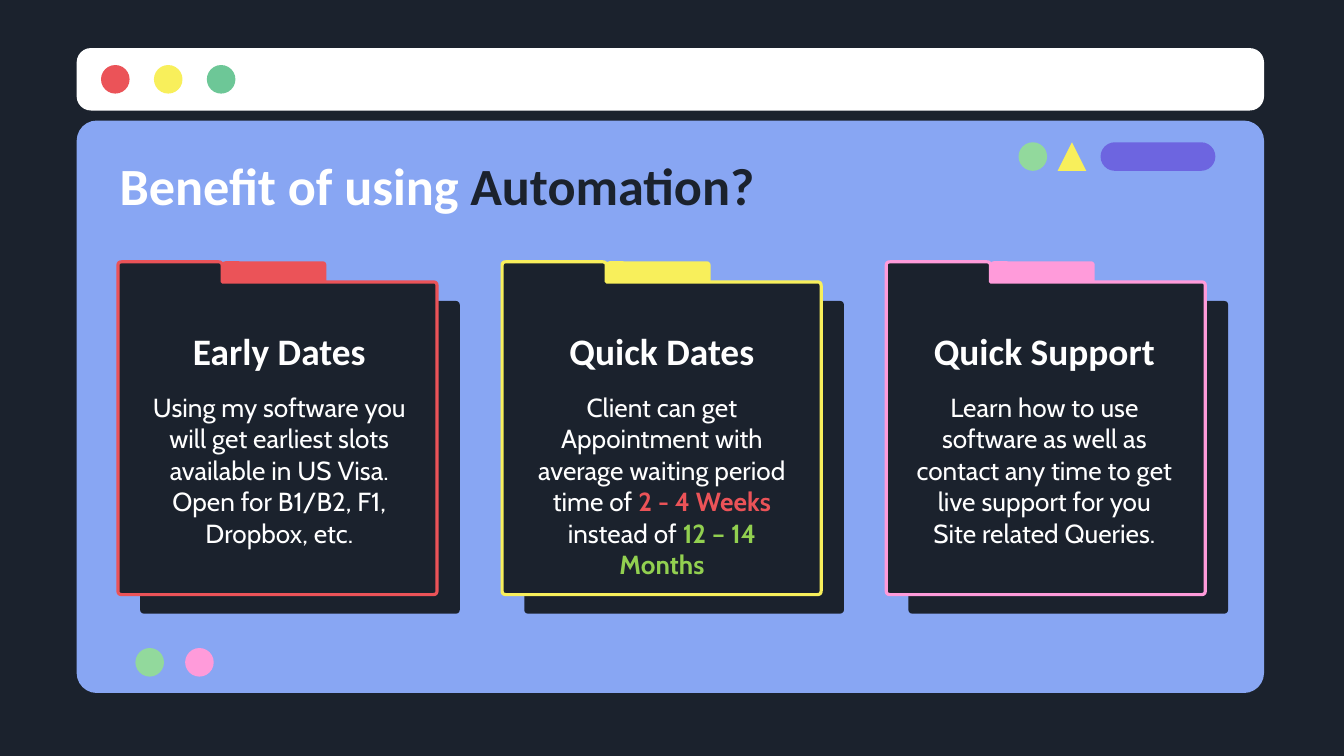
from pptx import Presentation
from pptx.dml.color import RGBColor
from pptx.enum import shapes, text
from pptx.util import Cm, Pt

NAVY = RGBColor(0x1B, 0x22, 0x2D)
BLUE = RGBColor(0x88, 0xA6, 0xF3)
WHITE = RGBColor(0xFF, 0xFF, 0xFF)
RED = RGBColor(0xEB, 0x53, 0x58)
YELLOW = RGBColor(0xF8, 0xEF, 0x5B)
GREEN = RGBColor(0x6D, 0xC7, 0x97)
MINT = RGBColor(0x92, 0xD9, 0x9C)
LIME = RGBColor(0x92, 0xD0, 0x50)
PINK = RGBColor(0xFF, 0x9B, 0xDA)
PURPLE = RGBColor(0x6D, 0x65, 0xE0)

KIND = shapes.MSO_SHAPE
DOT = 0.54
CORNER = 0.07
FOLDER_LEFT, FOLDER_PITCH = 2.23, 7.26
TEXT_CENTRE, TEXT_PITCH = 5.28, 7.23

# Accent, heading, heading width, spans of the description (text, colour, bold)
CARDS = [
    (RED, "Early Dates", 5.44, [
        ("Using my software you will get earliest slots available in US Visa. "
         "Open for B1/B2, F1, Dropbox, etc.", WHITE, False)]),
    (YELLOW, "Quick Dates", 5.44, [
        ("Client can get Appointment with average waiting period time of ",
         WHITE, False),
        ("2 - 4 Weeks ", RED, True),
        ("instead of ", WHITE, False),
        ("12 – 14 Months", LIME, True)]),
    (PINK, "Quick Support", 5.97, [
        ("Learn how to use software as well as contact any time to get live "
         "support for you Site related Queries.", WHITE, False)]),
]


def add_block(slide, kind, left, top, width, height, color, radius=None):
    """Add a plain filled shape; radius is its corner radius in cm."""
    block = slide.shapes.add_shape(kind, Cm(left), Cm(top), Cm(width), Cm(height))
    block.shadow.inherit = False
    block.fill.solid()
    block.fill.fore_color.rgb = color
    block.line.fill.background()
    if radius is not None:
        block.adjustments[0] = radius / min(width, height)
    return block


def add_dot(slide, left, top, color):
    add_block(slide, KIND.OVAL, left, top, DOT, DOT, color)


def round_corners(corners, steps=4):
    """Replace each corner (x, y, radius) of a right-angled outline with a curve."""
    points = []
    for i, (x, y, radius) in enumerate(corners):
        if not radius:
            points.append((x, y))
            continue
        ends = []
        for nx, ny, _ in (corners[i - 1], corners[(i + 1) % len(corners)]):
            length = abs(nx - x) + abs(ny - y)
            ends.append((x + (nx - x) * radius / length,
                         y + (ny - y) * radius / length))
        (ax, ay), (bx, by) = ends
        for step in range(steps + 1):
            t = step / steps
            points.append(((1 - t) ** 2 * ax + 2 * t * (1 - t) * x + t * t * bx,
                           (1 - t) ** 2 * ay + 2 * t * (1 - t) * y + t * t * by))
    return points


def add_folder(slide, left, accent):
    """Add the back sheet, the coloured tab and the outlined front."""
    add_block(slide, KIND.ROUNDED_RECTANGLE, left + 0.42, 5.69, 6.04, 5.91, NAVY, CORNER)
    add_block(slide, KIND.ROUNDED_RECTANGLE, left + 1.96, 4.94, 1.98, 0.75, accent, CORNER)

    top, notch, right, bottom = 4.95, 5.33, left + 6.03, 11.24
    corners = [(left, top, CORNER), (left + 1.97, top, CORNER),
               (left + 1.97, notch, 0), (right, notch, CORNER),
               (right, bottom, CORNER), (left, bottom, CORNER)]
    points = [(Cm(x), Cm(y)) for x, y in round_corners(corners)]
    builder = slide.shapes.build_freeform(*points[0])
    builder.add_line_segments(points[1:], close=True)
    front = builder.convert_to_shape()
    front.shadow.inherit = False
    front.fill.solid()
    front.fill.fore_color.rgb = NAVY
    front.line.color.rgb = accent
    front.line.width = Pt(1.7)


def write(box, spans, font, size, align, anchor):
    """Fill a text shape with one paragraph of coloured spans."""
    frame = box.text_frame
    frame.word_wrap = True
    frame.auto_size = text.MSO_AUTO_SIZE.NONE
    frame.vertical_anchor = anchor
    frame.margin_left = frame.margin_right = Cm(0.25)
    frame.margin_top = frame.margin_bottom = Cm(0.25)
    para = frame.paragraphs[0]
    para.alignment = align
    for words, color, bold in spans:
        span = para.add_run()
        span.text = words
        span.font.name = font
        span.font.size = Pt(size)
        span.font.bold = bold
        span.font.color.rgb = color


def add_label(slide, centre, top, width, height, spans, font, size, anchor):
    box = slide.shapes.add_textbox(Cm(centre - width / 2), Cm(top), Cm(width), Cm(height))
    write(box, spans, font, size, text.PP_ALIGN.CENTER, anchor)


def add_window(slide):
    # Window body and title bar
    add_block(slide, KIND.ROUNDED_RECTANGLE, 1.45, 2.28, 22.44, 10.82, BLUE, 0.38)
    add_block(slide, KIND.ROUNDED_RECTANGLE, 1.45, 0.91, 22.44, 1.18, WHITE, 0.27)
    for i, color in enumerate((RED, YELLOW, GREEN)):
        add_dot(slide, 1.91 + i, 1.23, color)

    # Ornaments at the top right and bottom left
    add_dot(slide, 19.25, 2.69, MINT)
    add_block(slide, KIND.ISOSCELES_TRIANGLE, 19.99, 2.69, DOT, DOT, YELLOW)
    add_block(slide, KIND.ROUNDED_RECTANGLE, 20.8, 2.69, 2.17, DOT, PURPLE, DOT / 2)
    add_dot(slide, 2.56, 12.25, MINT)
    add_dot(slide, 3.5, 12.25, PINK)


def add_title(slide):
    title = slide.shapes.title
    title.left, title.top = Cm(2.01), Cm(2.7)
    title.width, title.height = Cm(21.41), Cm(1.58)
    write(title, [("Benefit of using ", WHITE, True), ("Automation?", NAVY, True)],
          "Calibri", 28, text.PP_ALIGN.LEFT, text.MSO_ANCHOR.MIDDLE)
    # Bring the placeholder in front of the window
    title.element.getparent().append(title.element)


def main():
    deck = Presentation()
    deck.slide_width, deck.slide_height = Cm(25.4), Cm(14.29)
    slide = deck.slides.add_slide(deck.slide_layouts[5])
    slide.background.fill.solid()
    slide.background.fill.fore_color.rgb = NAVY

    add_window(slide)
    add_title(slide)

    # Three folder cards
    for i, (accent, heading, width, spans) in enumerate(CARDS):
        add_folder(slide, FOLDER_LEFT + i * FOLDER_PITCH, accent)
        centre = TEXT_CENTRE + i * TEXT_PITCH
        add_label(slide, centre, 5.89, width, 1.47, [(heading, WHITE, True)],
                  "Calibri", 20, text.MSO_ANCHOR.MIDDLE)
        add_label(slide, centre, 7.15, 5.44, 3.45, spans,
                  "Cabin", 14, text.MSO_ANCHOR.TOP)

    deck.save("out.pptx")


if __name__ == "__main__":
    main()
